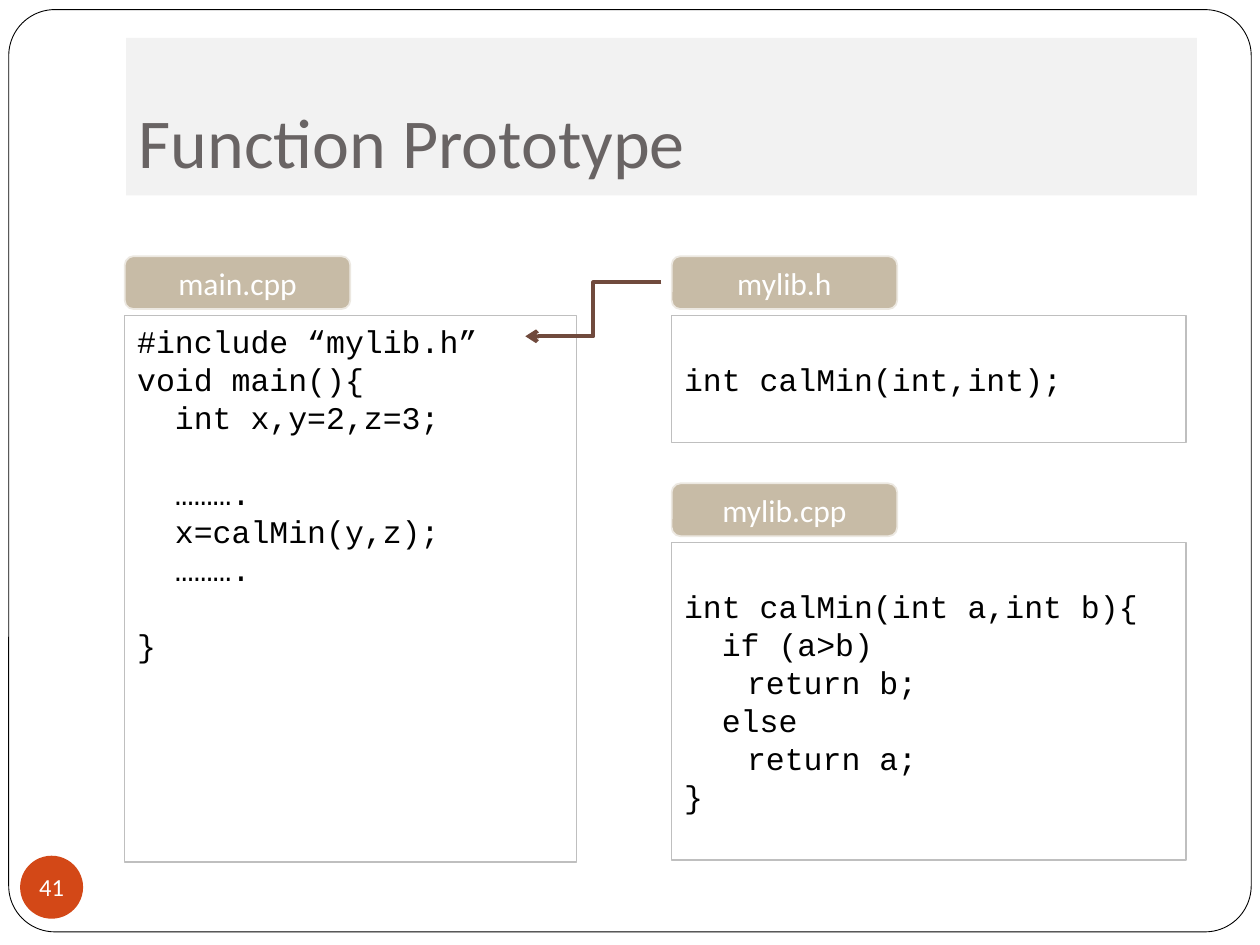
import pptx
import pptx.dml.color
import pptx.enum.shapes
import pptx.enum.text
import pptx.oxml.ns
import pptx.util
from lxml import etree

Pt = pptx.util.Pt
RGBColor = pptx.dml.color.RGBColor
SHAPE = pptx.enum.shapes.MSO_SHAPE
ANCHOR = pptx.enum.text.MSO_ANCHOR
ALIGN = pptx.enum.text.PP_ALIGN
qn = pptx.oxml.ns.qn

BLACK = RGBColor(0x00, 0x00, 0x00)
WHITE = RGBColor(0xFF, 0xFF, 0xFF)
TITLE_FILL = RGBColor(0xF2, 0xF2, 0xF2)
TITLE_TEXT = RGBColor(0x69, 0x64, 0x64)
ORANGE = RGBColor(0xD3, 0x48, 0x17)
TAN = RGBColor(0xC7, 0xBB, 0xA6)
TAN_EDGE = RGBColor(0xEC, 0xE8, 0xE1)
BOX_EDGE = RGBColor(0xBF, 0xBF, 0xBF)
BROWN = RGBColor(0x70, 0x4A, 0x3D)

MAIN_CODE = """#include “mylib.h”
void main(){
  int x,y=2,z=3;

  ……….
  x=calMin(y,z);
  ……….

}"""
HEADER_CODE = """
int calMin(int,int);"""
LIBRARY_CODE = """
int calMin(int a,int b){
  if (a>b)
\treturn b;
  else
\treturn a;
}"""


class SlideBuilder:
    body_font = "Calibri"
    code_font = "Courier New"
    text_size = 18
    code_pitch = 21.75
    label_width, label_height = 128.9, 30.2
    label_step = 33.8  # from the top of a label to the top of its code box

    def __init__(self, slide):
        self.slide = slide

    def set_font(self, paragraph, name, size, color):
        paragraph.font.name = name
        paragraph.font.size = Pt(size)
        paragraph.font.color.rgb = color

    def set_insets(self, frame, left, top, right, bottom):
        frame.margin_left, frame.margin_top = Pt(left), Pt(top)
        frame.margin_right, frame.margin_bottom = Pt(right), Pt(bottom)

    def shape(self, kind, left, top, width, height, fill=None, line=None, weight=1):
        shape = self.slide.shapes.add_shape(
            kind, Pt(left), Pt(top), Pt(width), Pt(height))
        shape.shadow.inherit = False
        if fill is None:
            shape.fill.background()
        else:
            shape.fill.solid()
            shape.fill.fore_color.rgb = fill
        if line is None:
            shape.line.fill.background()
        else:
            shape.line.color.rgb = line
            shape.line.width = Pt(weight)
        return shape

    def frame(self, left, top, width, height):
        shape = self.shape(SHAPE.ROUNDED_RECTANGLE, left, top, width, height,
                           WHITE, BLACK, 0.5)
        shape.adjustments[0] = 0.05
        self.slide.shapes._spTree.insert(2, shape._element)  # send to back

    def title(self, text, left, top, width, height):
        title = self.slide.shapes.title
        title.left, title.top = Pt(left), Pt(top)
        title.width, title.height = Pt(width), Pt(height)
        title.fill.solid()
        title.fill.fore_color.rgb = TITLE_FILL
        frame = title.text_frame
        frame.text = text
        frame.vertical_anchor = ANCHOR.BOTTOM
        self.set_insets(frame, 7.2, 3.6, 7.2, 7.2)
        frame.paragraphs[0].alignment = ALIGN.LEFT
        self.set_font(frame.paragraphs[0], self.body_font, 40, TITLE_TEXT)

    def centered_text(self, shape, text, size):
        frame = shape.text_frame
        frame.text = text
        frame.vertical_anchor = ANCHOR.MIDDLE
        frame.paragraphs[0].alignment = ALIGN.CENTER
        self.set_font(frame.paragraphs[0], self.body_font, size, WHITE)
        return frame

    def page_number(self, text, left, top, size):
        badge = self.shape(SHAPE.OVAL, left, top, size, size, ORANGE)
        frame = self.centered_text(badge, text, 14)
        frame.word_wrap = False
        self.set_insets(frame, 0, 0, 0, 0)

    def source_file(self, name, code, left, top, width, height):
        """A file name label with its code box below."""
        box = self.shape(SHAPE.RECTANGLE, left, top + self.label_step,
                         width, height, line=BOX_EDGE, weight=0.75)
        self.code(box.text_frame, code)
        label = self.shape(SHAPE.ROUNDED_RECTANGLE, left, top,
                           self.label_width, self.label_height, TAN, TAN_EDGE)
        self.centered_text(label, name, self.text_size)

    def code(self, frame, code):
        """Empty code lines become a top inset or space before the next line."""
        frame.word_wrap = True
        frame.vertical_anchor = ANCHOR.TOP
        paragraph, gap = None, 0
        for line in code.split("\n"):
            if not line:
                gap += self.code_pitch
                continue
            if paragraph is None:
                paragraph = frame.paragraphs[0]
                self.set_insets(frame, 7.2, 3.6 + gap, 7.2, 3.6)
            else:
                paragraph = frame.add_paragraph()
                paragraph.space_before = Pt(gap)
            paragraph.add_run().text = line
            paragraph.alignment = ALIGN.LEFT
            paragraph.line_spacing = Pt(self.code_pitch)
            self.set_font(paragraph, self.code_font, self.text_size, BLACK)
            gap = 0

    def elbow_arrow(self, begin_x, begin_y, end_x, end_y):
        connector = self.slide.shapes.add_connector(
            pptx.enum.shapes.MSO_CONNECTOR.ELBOW,
            Pt(begin_x), Pt(begin_y), Pt(end_x), Pt(end_y))
        connector.line.color.rgb = BROWN
        connector.line.width = Pt(2.25)
        etree.SubElement(connector.line._get_or_add_ln(), qn("a:tailEnd"), type="arrow")
        etree.SubElement(connector._element.spPr, qn("a:effectLst"))


def main():
    presentation = pptx.Presentation()
    presentation.slide_width, presentation.slide_height = Pt(720), Pt(540)
    builder = SlideBuilder(
        presentation.slides.add_slide(presentation.slide_layouts[5]))

    # Page frame, title and number
    builder.frame(5, 5.5, 710, 527)
    builder.title("Function Prototype", 72, 21.6, 612, 90)
    builder.page_number("41", 11.5, 489, 36)

    # Source files
    left, right, top = 71.3, 383.8, 146.4
    builder.source_file("main.cpp", MAIN_CODE, left, top, 258, 312.5)
    builder.source_file("mylib.h", HEADER_CODE, right, top, 294, 72.7)
    builder.source_file("mylib.cpp", LIBRARY_CODE, right, 276.2, 294, 181.4)

    # Header is included by the main file
    builder.elbow_arrow(378, 161.3, 300.2, 192.2)

    presentation.save("out.pptx")


if __name__ == "__main__":
    main()
